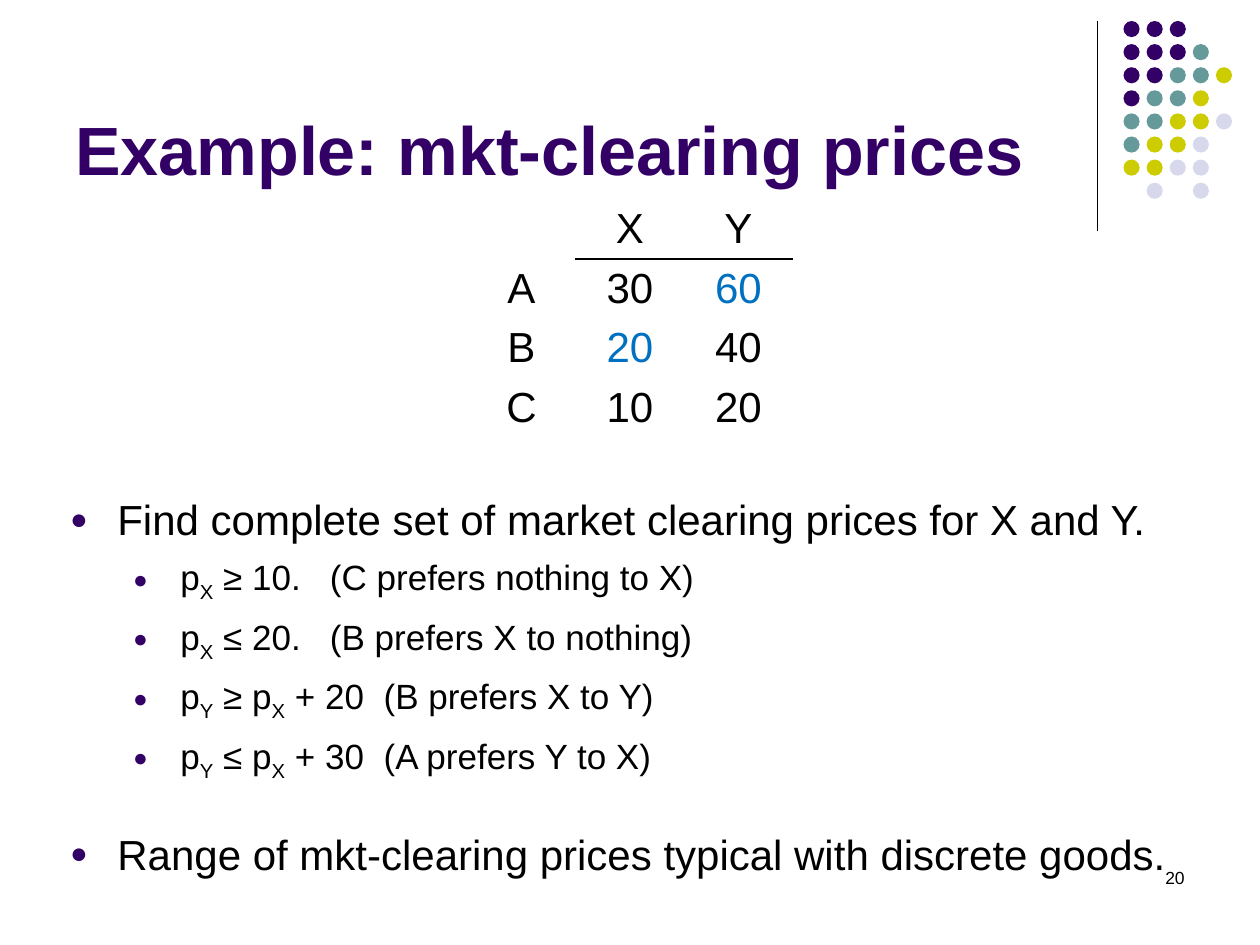
from lxml import etree
from pptx import Presentation
from pptx.dml.color import RGBColor
from pptx.enum.shapes import MSO_CONNECTOR as CONN, MSO_SHAPE as SHAPE
from pptx.enum.text import MSO_ANCHOR as ANCHOR, PP_ALIGN as ALIGN
from pptx.oxml.ns import qn
from pptx.util import Pt

COLORS = {
    "purple": "330066",
    "teal": "669999",
    "lime": "CCCC00",
    "lilac": "D8D8EC",
    "black": "000000",
    "blue": "0070C0",
}
DOT_COLORS = {"P": "purple", "T": "teal", "L": "lime", "V": "lilac"}
DOT_ROWS = ["PPP", "PPPT", "PPTTL", "PTTL", "TTLLV", "TLLV", "LLVV", " V V"]
VALUES = [["", "X", "Y"], ["A", "30", "60"], ["B", "20", "40"], ["C", "10", "20"]]
HIGHLIGHTED = {(1, 2), (2, 1)}
CONDITIONS = [
    (["p", "X", " ≥ 10."], 11, "(C prefers nothing to X)"),
    (["p", "X", " ≤ 20."], 11, "(B prefers X to nothing)"),
    (["p", "Y", " ≥ p", "X", " + 20"], 5.5, "(B prefers X to Y)"),
    (["p", "Y", " ≤ p", "X", " + 30"], 5.5, "(A prefers Y to X)"),
]


def rgb(name):
    return RGBColor.from_string(COLORS[name])


def add_text(p, text, size=24, color="black", bold=False, base=0, gap=0):
    r = p.add_run()
    r.text = text
    font = r.font
    font.name = "Arial"
    font.size = Pt(size)
    font.bold = bold
    font.color.rgb = rgb(color)
    if base:
        font._element.set("baseline", str(base * 1000))
    if gap:
        font._element.set("spc", str(int(gap * 100)))


def add_box(s, left, top, width, height, anchor=ANCHOR.TOP):
    tf = s.shapes.add_textbox(Pt(left), Pt(top), Pt(width), Pt(height)).text_frame
    tf.word_wrap = True
    tf.vertical_anchor = anchor
    return tf


def format_bullet(p, level=0, before=0):
    pPr = p._p.get_or_add_pPr()
    pPr.set("marL", str(Pt(27 + 36 * level)))
    pPr.set("indent", str(Pt(-27)))
    color = etree.SubElement(pPr, qn("a:buClr"))
    etree.SubElement(color, qn("a:srgbClr"), val=COLORS["purple"])
    etree.SubElement(pPr, qn("a:buSzPct"), val="70000")
    etree.SubElement(pPr, qn("a:buFont"), typeface="Arial")
    etree.SubElement(pPr, qn("a:buChar"), char="●")
    p.level = level
    p.line_spacing = 1.1
    p.space_before = Pt(before)


def add_rule(s, x, top, bottom):
    line = s.shapes.add_connector(CONN.STRAIGHT, Pt(x), Pt(top), Pt(x), Pt(bottom))
    line.line.color.rgb = rgb("black")
    line.line.width = Pt(0.75)
    etree.SubElement(line._element.spPr, qn("a:effectLst"))


def add_dots(s, left, top, pitch, size):
    for row, codes in enumerate(DOT_ROWS):
        for col, code in enumerate(codes):
            if code == " ":
                continue
            sp = s.shapes.add_shape(SHAPE.OVAL, Pt(left + col * pitch),
                                    Pt(top + row * pitch), Pt(size), Pt(size))
            sp.shadow.inherit = False
            sp.fill.solid()
            sp.fill.fore_color.rgb = rgb(DOT_COLORS[code])
            sp.line.fill.background()


def add_border(cell, side):
    tcPr = cell._tc.get_or_add_tcPr()
    line = etree.Element(qn(f"a:{side}"), w=str(Pt(1)))
    fill = etree.SubElement(line, qn("a:solidFill"))
    etree.SubElement(fill, qn("a:srgbClr"), val=COLORS["black"])
    tcPr.insert(0, line)


def add_value_table(s, left, top, col_width, row_height):
    rows, cols = len(VALUES), len(VALUES[0])
    table = s.shapes.add_table(rows, cols, Pt(left), Pt(top), Pt(cols * col_width),
                               Pt(rows * row_height)).table
    table.first_row = False
    table.horz_banding = False
    for column in table.columns:
        column.width = Pt(col_width)
    for i, values in enumerate(VALUES):
        table.rows[i].height = Pt(row_height)
        for j, value in enumerate(values):
            cell = table.cell(i, j)
            cell.margin_bottom = Pt(1)
            cell.fill.background()
            if value:
                p = cell.text_frame.paragraphs[0]
                p.alignment = ALIGN.CENTER
                add_text(p, value, color="blue" if (i, j) in HIGHLIGHTED else "black")
            if j and i < 2:
                add_border(cell, "lnT" if i else "lnB")


def add_body(s):
    tf = add_box(s, 33, 275.75, 654, 235)
    p = tf.paragraphs[0]
    format_bullet(p)
    add_text(p, "Find complete set of market clearing prices for X and Y.")
    for parts, gap, reason in CONDITIONS:
        p = tf.add_paragraph()
        format_bullet(p, level=1, before=4)
        for i, part in enumerate(parts):
            add_text(p, part, size=20, base=-25 if i % 2 else 0)
        add_text(p, " ", size=20, gap=gap)
        add_text(p, reason, size=20)
    p = tf.add_paragraph()
    format_bullet(p, before=23.5)
    add_text(p, "Range of mkt-clearing prices typical with discrete goods.")


def main():
    prs = Presentation()
    prs.slide_width, prs.slide_height = Pt(720), Pt(540)
    s = prs.slides.add_slide(prs.slide_layouts[6])
    add_rule(s, 627, 12, 132)
    add_dots(s, left=642, top=12, pitch=13.2, size=9.2)
    title = add_box(s, 36, 9, 594, 102.5, ANCHOR.BOTTOM).paragraphs[0]
    add_text(title, "Example: mkt-clearing prices", size=39, color="purple", bold=True)
    add_value_table(s, left=267, top=114, col_width=62, row_height=34)
    add_body(s)
    number = add_box(s, 516, 492, 168, 36).paragraphs[0]
    number.alignment = ALIGN.RIGHT
    add_text(number, "20", size=10)
    prs.save("out.pptx")


if __name__ == "__main__":
    main()
